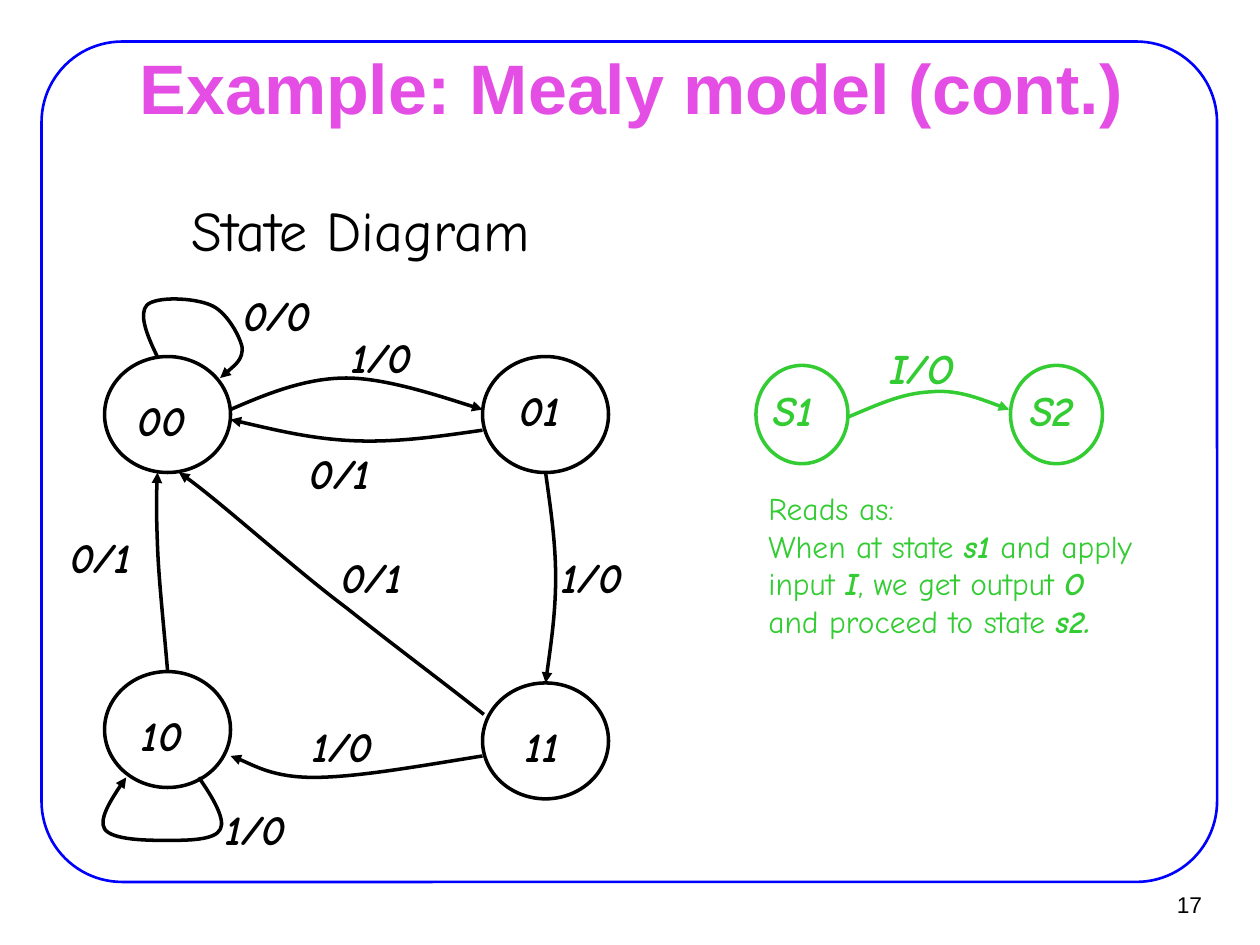
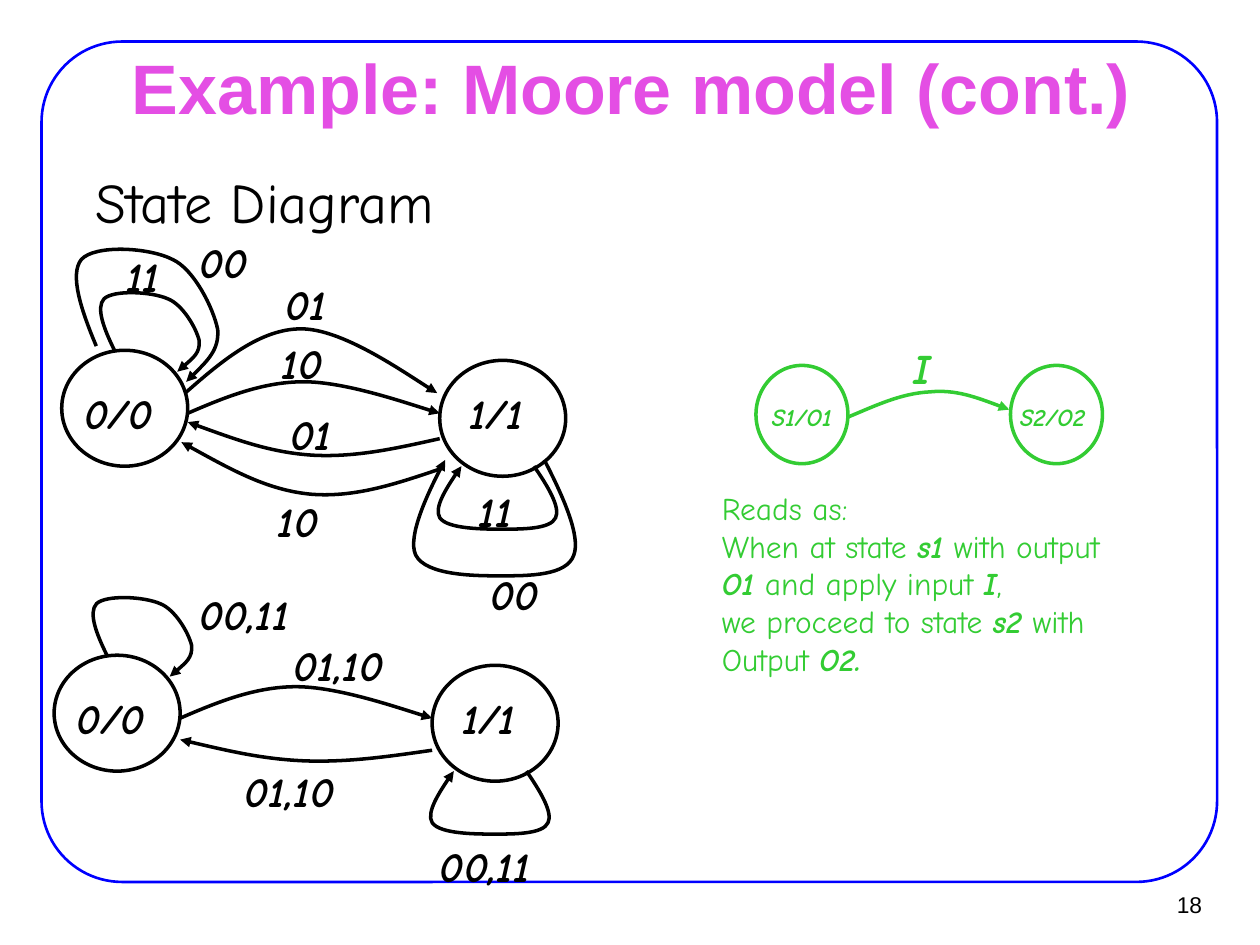
import lxml.etree
import pptx
import pptx.dml.color
import pptx.enum.shapes
import pptx.enum.text
import pptx.oxml.ns
import pptx.util

Inches = pptx.util.Inches
Pt = pptx.util.Pt
qn = pptx.oxml.ns.qn
SHAPE = pptx.enum.shapes.MSO_SHAPE
ALIGN = pptx.enum.text.PP_ALIGN
ANCHOR = pptx.enum.text.MSO_ANCHOR
AUTO = pptx.enum.text.MSO_AUTO_SIZE

COLORS = {"frame": "0000FF", "title": "E44EE4", "ink": "000000", "key": "33CC33"}
SANS, HAND = "Arial", "Comic Neue"
STATE_W, STATE_H = 1, 0.92
LABEL_W = {1: 0.38, 2: 0.61, 3: 0.78, 5: 1.16}

# Bezier points as fractions of the box that a curve fills
CURVES = {
    "loop_top": [(.18, .74), (.08, .48), (0, .22), (.08, .11), (.17, 0), (.53, .02), (.69, .11),
                 (.83, .18), (.96, .46), (.99, .62), (1, .77), (.89, .88), (.78, 1)],
    "loop_bottom": [(.79, 0), (.9, .32), (1, .66), (.96, .82), (.92, 1), (.7, 1), (.54, 1),
                    (.4, 1), (.11, 1), (.05, .82), (0, .66), (.16, .16), (.22, 0)],
    "forward": [(0, 1), (.15, .48), (.3, 0), (.46, 0), (.62, 0), (.9, .76), (1, 1)],
    "back": [(1, .47), (.83, .74), (.67, 1), (.5, .94), (.33, .87), (.17, .44), (0, 0)],
    "down": [(0, 0), (.5, .17), (1, .33), (1, .5), (1, .66), (.5, .83), (0, 1)],
    "diagonal": [(1, 1), (.86, .86), (.72, .73), (.55, .56), (.38, .4), (.1, .08), (0, 0)],
    "bottom": [(1, 0), (.75, .47), (.5, 1), (.33, 1), (.17, 1), (.05, .18), (0, 0)],
    "up": [(.9, 1), (.6, .77), (.2, .54), (.1, .37), (0, .2), (0, .1), (.1, 0)],
    "key": [(0, 1), (.17, .59), (.33, .14), (.51, .09), (.67, 0), (.83, .36), (1, .73)],
}


def rgb(name):
    return pptx.dml.color.RGBColor.from_string(COLORS[name])


def outline(sp, color, width=2):
    sp.shadow.inherit = False
    sp.fill.background()
    sp.line.color.rgb = rgb(color)
    sp.line.width = Pt(width)


def add_run(p, text, size, color, font=HAND, bold=False, italic=False):
    r = p.add_run()
    r.text = text
    r.font.name, r.font.size = font, Pt(size)
    r.font.bold, r.font.italic = bold, italic
    r.font.color.rgb = rgb(color)


def add_text(shapes, x, y, w, h, wrap=True):
    sp = shapes.add_textbox(Inches(x), Inches(y), Inches(w), Inches(h))
    tf = sp.text_frame
    tf.auto_size = AUTO.SHAPE_TO_FIT_TEXT
    tf.word_wrap = wrap
    return tf


def add_label(shapes, x, y, text, color="ink", w=None, h=0.57, size=24):
    tf = add_text(shapes, x, y, w or LABEL_W[len(text)], h, wrap=False)
    p = tf.paragraphs[0]
    p.alignment = ALIGN.CENTER
    add_run(p, text, size, color, bold=True, italic=True)


def add_circle(shapes, x, y, w=STATE_W, h=STATE_H, color="ink"):
    sp = shapes.add_shape(SHAPE.OVAL, Inches(x), Inches(y), Inches(w), Inches(h))
    outline(sp, color)


def add_curve(shapes, kind, x, y, w, h, color="ink"):
    pts = [(Inches(x + w * u), Inches(y + h * v)) for u, v in CURVES[kind]]
    builder = shapes.build_freeform(*pts[0])
    builder.add_line_segments(pts[1:], close=False)
    sp = builder.convert_to_shape()
    outline(sp, color)
    route = sp.element.xpath(".//a:path")[0]
    lines = route.findall(qn("a:lnTo"))
    for i in range(0, len(lines), 3):
        bezier = lxml.etree.SubElement(route, qn("a:cubicBezTo"))
        for ln in lines[i:i + 3]:
            bezier.append(ln[0])
            route.remove(ln)
    ln = sp.element.spPr.find(qn("a:ln"))
    lxml.etree.SubElement(ln, qn("a:tailEnd")).set("type", "triangle")


def add_heading(shapes, x, y):
    add_run(add_text(shapes, x, y, 4, 0.72).paragraphs[0], "State Diagram", 32, "ink")


def add_frame(s, layout):
    sp = s.shapes.add_shape(SHAPE.ROUNDED_RECTANGLE, Inches(0.33), Inches(0.33),
                            Inches(9.33), Inches(6.67))
    sp.adjustments[0] = 0.096
    outline(sp, "frame", 1.5)
    layout.shapes.element.insert(2, sp.element)


def add_slide(prs, layout, title, number):
    s = prs.slides.add_slide(layout)
    sp = s.shapes.title
    sp.left, sp.top, sp.width, sp.height = Inches(0.76), Inches(0.44), Inches(8.5), Inches(0.49)
    tf = sp.text_frame
    tf.auto_size = AUTO.NONE
    tf.word_wrap = True
    tf.vertical_anchor = ANCHOR.MIDDLE
    tf.margin_left = tf.margin_right = Inches(0.11)
    tf.margin_top = tf.margin_bottom = Inches(0.06)
    p = tf.paragraphs[0]
    p.alignment = ALIGN.CENTER
    add_run(p, title, 40, "title", SANS, bold=True)

    tf = add_text(s.shapes, 9.02, 6.99, 0.61, 0.37, wrap=False)
    tf.auto_size = AUTO.NONE
    tf.vertical_anchor = ANCHOR.MIDDLE
    tf.margin_left = tf.margin_right = Inches(0.09)
    tf.margin_top = tf.margin_bottom = Inches(0.04)
    p = tf.paragraphs[0]
    p.alignment = ALIGN.RIGHT
    add_run(p, str(number), 13, "ink", SANS)
    return s


def add_key(shapes, x, y, labels):
    for dx in (0, 2.02):
        add_circle(shapes, x + dx, y, 0.73, 0.78, "key")
    add_curve(shapes, "key", x + 0.73, y + 0.19, 1.28, 0.22, "key")
    for dx, dy, text, w, h, size in labels:
        add_label(shapes, x + dx, y + dy, text, "key", w, h, size)


def add_reading(shapes, x, y, w, h, paragraphs):
    tf = add_text(shapes, x, y, w, h)
    for i, text in enumerate(paragraphs):
        p = tf.paragraphs[0] if i == 0 else tf.add_paragraph()
        for j, line in enumerate(text.split("\n")):
            if j:
                p.add_line_break()
            for k, part in enumerate(line.split("*")):
                if part:
                    strong = k % 2 == 1
                    add_run(p, part, 18, "key", bold=strong, italic=strong)


def add_mealy_diagram(shapes, x, y):
    add_heading(shapes, x + 0.59, y - 1.33)
    for dx, dy in [(0, 0), (3, 0), (3, 2.59), (0, 2.5)]:
        add_circle(shapes, x + dx, y + dy)
    for kind, dx, dy, w, h in [
        ("loop_top", 0.27, -0.48, 0.83, 0.65),
        ("forward", 1, 0.17, 2, 0.25),
        ("back", 1, 0.5, 2, 0.18),
        ("down", 3.5, 0.92, 0.08, 1.67),
        ("diagonal", 0.59, 0.92, 2.42, 1.92),
        ("bottom", 1, 3.17, 2, 0.17),
        ("up", 0.41, 0.92, 0.1, 1.58),
        ("loop_bottom", -0.05, 3.34, 1.01, 0.5),
    ]:
        add_curve(shapes, kind, x + dx, y + dy, w, h)
    for dx, dy, text in [
        (0.15, 0.25, "00"), (3.15, 0.17, "01"), (3.17, 2.84, "11"), (0.15, 2.75, "10"),
        (0.98, -0.58, "0/0"), (1.81, -0.25, "1/0"), (1.48, 0.67, "0/1"), (3.48, 1.5, "1/0"),
        (1.73, 1.5, "0/1"), (1.5, 2.84, "1/0"), (-0.42, 1.34, "0/1"), (0.81, 3.5, "1/0"),
    ]:
        add_label(shapes, x + dx, y + dy, text)


def add_moore_pair(shapes, x, y, back_y, back_h, labels, label_h):
    add_circle(shapes, x, y)
    add_circle(shapes, x + 3, y + 0.08)
    add_curve(shapes, "loop_top", x + 0.27, y - 0.48, 0.83, 0.65)
    add_curve(shapes, "forward", x + 1, y + 0.25, 2, 0.25)
    add_curve(shapes, "back", x + 1, y + back_y, 2, back_h)
    add_curve(shapes, "loop_bottom", x + 2.95, y + 0.92, 1.01, 0.5)
    add_label(shapes, x + 0.06, y + 0.25, "0/0")
    add_label(shapes, x + 3.06, y + 0.25, "1/1")
    for dx, dy, text in labels:
        add_label(shapes, x + dx, y + dy, text, h=label_h)


def add_outer_arrows(shapes, x, y):
    for kind, dx, dy, w, h in [
        ("loop_top", 0.06, -0.84, 1.19, 1.09),
        ("loop_bottom", 2.74, 0.87, 1.38, 0.92),
        ("forward", 0.98, -0.17, 2, 0.51),
        ("back", 0.95, 0.73, 2.07, 0.44),
    ]:
        add_curve(shapes, kind, x + dx, y + dy, w, h)
    for dx, dy, text in [(0.34, -0.84, "11"), (3.29, 1.68, "00"),
                         (1.63, -0.62, "01"), (1.67, 0.41, "01")]:
        add_label(shapes, x + dx, y + dy, text, h=0.5)


def build_mealy(prs, layout):
    s = add_slide(prs, layout, "Example: Mealy model (cont.)", 17)
    add_frame(s, layout)
    add_mealy_diagram(s.shapes.add_group_shape().shapes, 0.83, 2.83)
    add_key(s.shapes, 6, 2.9, [(0.91, -0.23, "I/O", 0.82, 0.5, 24),
                               (-0.02, 0.1, "S1", 0.64, 0.5, 24),
                               (2.03, 0.1, "S2", 0.64, 0.5, 24)])
    add_reading(s.shapes, 6, 3.83, 3.47, 1.3, [
        "Reads as:\nWhen at state *s1* and apply",
        "input *I*, we get output *O*",
        "and proceed to state *s2.*",
    ])


def build_moore(prs, layout):
    s = add_slide(prs, layout, "Example: Moore model (cont.)", 18)
    add_key(s.shapes, 6, 2.9, [(1.13, -0.23, "I", 0.38, 0.5, 24),
                               (-0.05, 0.24, "S1/O1", 0.83, 0.33, 14),
                               (1.94, 0.24, "S2/O2", 0.83, 0.33, 14)])
    add_reading(s.shapes, 5.63, 3.83, 3.69, 1.9, [
        "Reads as:\nWhen at state *s1* with output",
        "*O1* and apply input *I*,",
        "we proceed to state *s2* with",
        "Output *O2.*",
    ])
    add_moore_pair(s.shapes.add_group_shape().shapes, 0.43, 5.2, 0.67, 0.18, [
        (0.93, -0.58, "00,11"), (1.68, -0.17, "01,10"),
        (1.29, 0.83, "01,10"), (2.84, 1.42, "00,11")], 0.57)
    upper = s.shapes.add_group_shape().shapes
    add_heading(upper, 0.66, 1.28)
    add_moore_pair(upper, 0.49, 2.78, 0.57, 0.28, [
        (0.98, -0.95, "00"), (1.6, -0.15, "10"), (1.57, 1.1, "10"), (3.14, 1.02, "11")], 0.51)
    add_outer_arrows(s.shapes, 0.49, 2.78)


prs = pptx.Presentation()
prs.slide_width, prs.slide_height = Inches(10), Inches(7.5)
title_only = prs.slide_layouts[5]
build_mealy(prs, title_only)
build_moore(prs, title_only)
prs.save("out.pptx")
